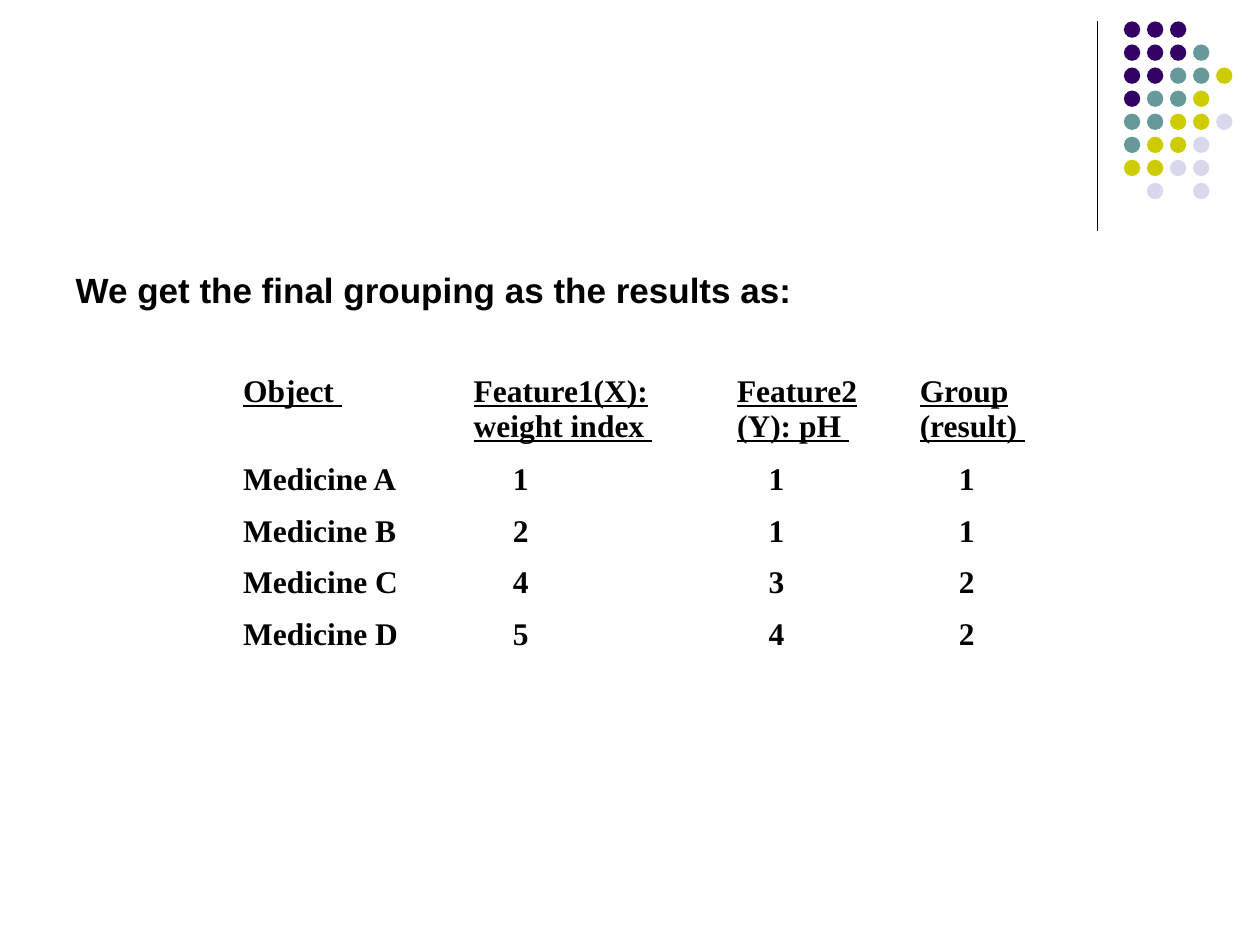
from pptx import Presentation, util as u
from pptx.dml.color import RGBColor
from pptx.enum import shapes, text
from pptx.oxml.ns import qn
from lxml import etree

BLACK = RGBColor(0x00, 0x00, 0x00)
PURPLE = RGBColor(0x33, 0x00, 0x66)
TEAL = RGBColor(0x66, 0x99, 0x99)
OLIVE = RGBColor(0xCC, 0xCC, 0x00)
LAVENDER = RGBColor(0xD8, 0xD8, 0xEC)

# One letter per dot, one string per row of dots
DOT_COLORS = {"P": PURPLE, "T": TEAL, "O": OLIVE, "L": LAVENDER}
DOT_ROWS = ["PPP", "PPPT", "PPTTO", "PTTO", "TTOOL", "TOOL", "OOLL", " L L"]

HEADERS = [["Object "], ["Feature1(X):", "weight index "],
           ["Feature2", "(Y): pH "], ["Group", "(result) "]]
MEDICINES = [("Medicine A", 1, 1, 1), ("Medicine B", 2, 1, 1),
             ("Medicine C", 4, 3, 2), ("Medicine D", 5, 4, 2)]


class GroupingSlide:
    """Draws on a grid of 100 columns by 75 rows."""
    heading_font = "Arial"
    table_font = "Times New Roman"

    def __init__(self, presentation):
        self.column = presentation.slide_width / 100
        self.row = presentation.slide_height / 75
        self.slide = presentation.slides.add_slide(presentation.slide_layouts[5])

    def x(self, columns):
        return u.Emu(round(columns * self.column))

    def y(self, rows):
        return u.Emu(round(rows * self.row))

    def add_run(self, paragraph, words, font, size, underline=False):
        run = paragraph.add_run()
        run.text = words
        run.font.name, run.font.size = font, u.Pt(size)
        run.font.bold, run.font.underline = True, underline
        run.font.color.rgb = BLACK

    def title(self, words, left, top, width, height):
        shape = self.slide.shapes.title
        shape.left, shape.top = self.x(left), self.y(top)
        shape.width, shape.height = self.x(width), self.y(height)
        frame = shape.text_frame
        frame.word_wrap = True
        frame.auto_size = text.MSO_AUTO_SIZE.NONE
        frame.vertical_anchor = text.MSO_ANCHOR.TOP
        paragraph = frame.paragraphs[0]
        paragraph.alignment = text.PP_ALIGN.LEFT
        self.add_run(paragraph, words, self.heading_font, 20)

    def vertical_line(self, left, top, bottom):
        line = self.slide.shapes.add_connector(
            shapes.MSO_CONNECTOR.STRAIGHT,
            self.x(left), self.y(top), self.x(left), self.y(bottom))
        line.line.color.rgb, line.line.width = BLACK, u.Pt(0.75)
        etree.SubElement(line._element.spPr, qn("a:effectLst"))

    def dots(self, left, top, pitch, size):
        group = self.slide.shapes.add_group_shape()
        for i, letters in enumerate(DOT_ROWS):
            for j, letter in enumerate(letters):
                if letter not in DOT_COLORS:
                    continue
                dot = group.shapes.add_shape(
                    shapes.MSO_SHAPE.OVAL, self.x(left + j * pitch),
                    self.y(top + i * pitch), self.x(size), self.y(size))
                dot.shadow.inherit = False
                dot.fill.solid()
                dot.fill.fore_color.rgb = DOT_COLORS[letter]
                dot.line.fill.background()

    def cell(self, cell, lines, underline=False, indent=0):
        cell.fill.background()
        cell.margin_left = self.x(1 + indent)
        frame = cell.text_frame
        for i, words in enumerate(lines):
            paragraph = frame.add_paragraph() if i else frame.paragraphs[0]
            paragraph.alignment = text.PP_ALIGN.JUSTIFY
            self.add_run(paragraph, words, self.table_font, 18, underline)

    def table(self, left, top, widths, heights, indents):
        table = self.slide.shapes.add_table(
            len(heights), len(widths), self.x(left), self.y(top),
            self.x(sum(widths)), self.y(sum(heights))).table
        table.first_row = table.horz_banding = False
        for column, width in zip(table.columns, widths):
            column.width = self.x(width)
        for row, height in zip(table.rows, heights):
            row.height = self.y(height)
        for j, lines in enumerate(HEADERS):
            self.cell(table.cell(0, j), lines, underline=True)
        for i, medicine in enumerate(MEDICINES, 1):
            for j, value in enumerate(medicine):
                self.cell(table.cell(i, j), [str(value)], indent=indents[j])


def main():
    presentation = Presentation()
    presentation.slide_width, presentation.slide_height = u.Inches(10), u.Inches(7.5)
    page = GroupingSlide(presentation)

    # Corner decoration
    page.vertical_line(87.1, 1.7, 18.3)
    page.dots(left=89.2, top=1.7, pitch=1.83, size=1.3)

    # Heading and grouping table
    page.title("We get the final grouping as the results as:", 5, 20.8, 80, 4.3)
    page.table(18.3, 29.2, widths=[18.3, 20.9, 14.5, 16.3],
               heights=[7] + [4.1] * len(MEDICINES), indents=[0, 3.1, 2.5, 3.1])

    presentation.save("out.pptx")


if __name__ == "__main__":
    main()
